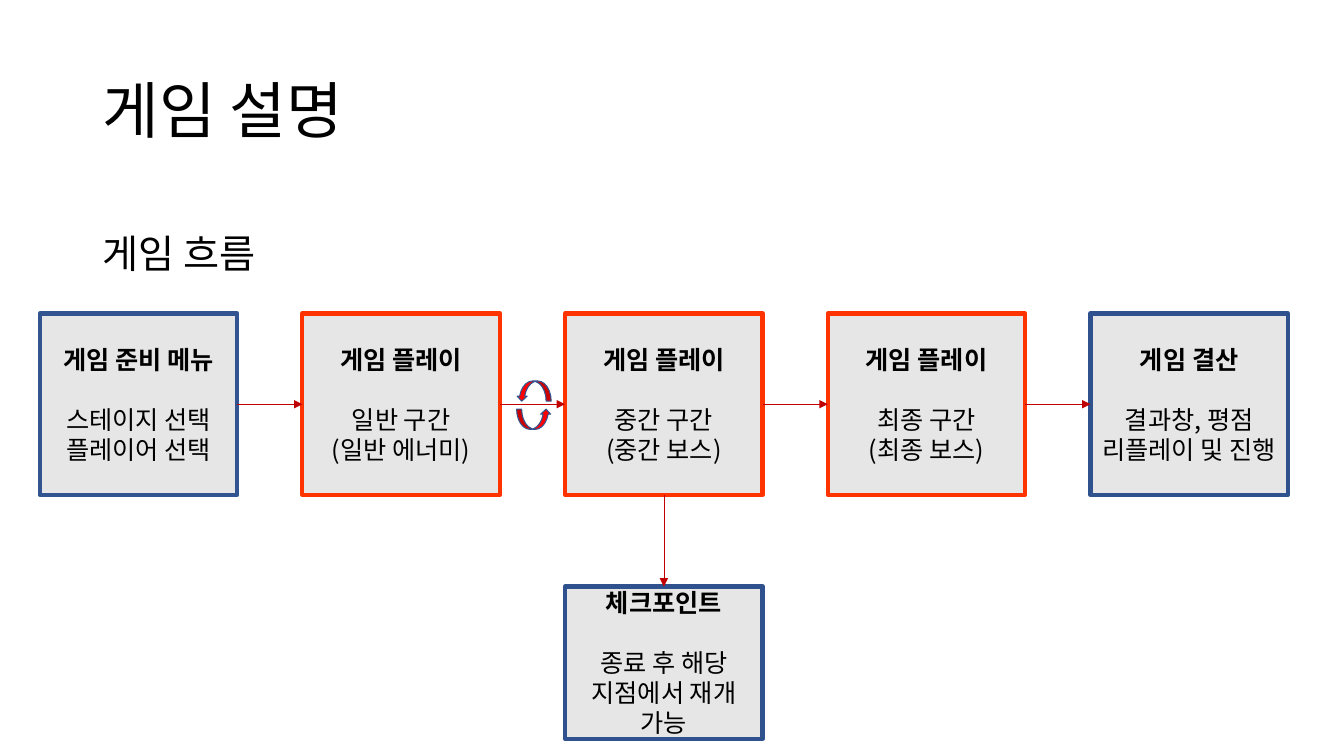
from pptx import Presentation
from pptx.dml.color import RGBColor
from pptx.enum.shapes import MSO_CONNECTOR, MSO_SHAPE
from pptx.enum.text import MSO_ANCHOR, PP_ALIGN
from pptx.oxml.ns import qn
from pptx.util import Cm, Pt
from lxml.etree import SubElement

FONT = "Noto Sans CJK KR"
COLORS = {
    "text": "000000",
    "panel": "E7E6E6",
    "start": "325491",
    "play": "FF3300",
    "finish": "2F528F",
    "arrow": "C00000",
    "loop": "FF0000",
}
STEP_WIDTH, STEP_HEIGHT, STEP_PITCH = 4.98, 4.57, 6.62
STEP_LEFT, STEP_TOP = 1, 7.9
TOP, LEFT, BOTTOM, RIGHT = range(4)
STEPS = [
    ("start", "게임 준비 메뉴", ["스테이지 선택", "플레이어 선택"]),
    ("play", "게임 플레이", ["일반 구간", "(일반 에너미)"]),
    ("play", "게임 플레이", ["중간 구간", "(중간 보스)"]),
    ("play", "게임 플레이", ["최종 구간", "(최종 보스)"]),
    ("finish", "게임 결산", ["결과창, 평점", "리플레이 및 진행"]),
]
CHECKPOINT = ("finish", "체크포인트", ["종료 후 해당 지점에서 재개 가능"])


def color(name):
    return RGBColor.from_string(COLORS[name])


def assign(target, values):
    for name, value in values.items():
        setattr(target, name, value)


def write(para, text, size, bold=False, **layout):
    assign(para, layout)
    span = para.add_run()
    span.text = text
    assign(span.font, {"name": FONT, "size": Pt(size), "bold": bold})
    span.font.color.rgb = color("text")
    SubElement(span.font._element, qn("a:ea"), typeface=FONT)


def paint(shape, fill, line, width):
    shape.shadow.inherit = False
    shape.fill.solid()
    shape.fill.fore_color.rgb = color(fill)
    shape.line.color.rgb = color(line)
    shape.line.width = Pt(width)


def add_headings(page, left, top, width):
    title = page.shapes.title
    assign(title, {"left": Cm(left), "top": Cm(top), "width": Cm(width), "height": Cm(3.68)})
    title.text_frame.vertical_anchor = MSO_ANCHOR.MIDDLE
    write(title.text_frame.paragraphs[0], "게임 설명", 44,
          alignment=PP_ALIGN.LEFT, line_spacing=0.9)
    box = page.shapes.add_textbox(Cm(left), Cm(top + 4.06), Cm(width), Cm(2))
    box.text_frame.word_wrap = True
    write(box.text_frame.paragraphs[0], "게임 흐름", 28,
          line_spacing=1.5, space_before=Pt(10))


def add_step(page, step, left, top, height=STEP_HEIGHT):
    line, heading, details = step
    box = page.shapes.add_shape(MSO_SHAPE.RECTANGLE, Cm(left), Cm(top),
                                Cm(STEP_WIDTH), Cm(height))
    paint(box, "panel", line, 3)
    frame = box.text_frame
    assign(frame, {"word_wrap": True, "vertical_anchor": MSO_ANCHOR.MIDDLE,
                   "margin_left": Cm(0.2), "margin_right": Cm(0.2)})
    layout = {"alignment": PP_ALIGN.CENTER, "line_spacing": Pt(21.5)}
    write(frame.paragraphs[0], heading, 18, bold=True, space_after=Pt(21.5), **layout)
    for detail in details:
        write(frame.add_paragraph(), detail, 18, **layout)
    return box


def add_arrow(page, source, source_site, target, target_site):
    arrow = page.shapes.add_connector(MSO_CONNECTOR.STRAIGHT, 0, 0, 0, 0)
    arrow.begin_connect(source, source_site)
    arrow.end_connect(target, target_site)
    arrow.line.color.rgb = color("arrow")
    arrow.line.width = Pt(0.5)
    SubElement(arrow.line._get_or_add_ln(), qn("a:tailEnd"), type="triangle")
    SubElement(arrow._element.spPr, qn("a:effectLst"))


def add_loop(page, left, top):
    for offset, rotation in ((0, 90), (0.71, 270)):
        arrow = page.shapes.add_shape(MSO_SHAPE.CURVED_RIGHT_ARROW, Cm(left),
                                      Cm(top + offset), Cm(0.51), Cm(0.87))
        arrow.rotation = rotation
        paint(arrow, "loop", "start", 0.75)


def add_flow(page, left, top):
    boxes = [add_step(page, step, left + index * STEP_PITCH, top)
             for index, step in enumerate(STEPS)]
    checkpoint = add_step(page, CHECKPOINT, left + 2 * STEP_PITCH, top + 6.88, 3.84)
    add_loop(page, left + 12.2, top + 1.52)
    for source, target in zip(boxes, boxes[1:]):
        add_arrow(page, source, RIGHT, target, LEFT)
    add_arrow(page, boxes[2], BOTTOM, checkpoint, TOP)


def main():
    deck = Presentation()
    assign(deck, {"slide_width": Cm(33.87), "slide_height": Cm(19.05)})
    page = deck.slides.add_slide(deck.slide_layouts[5])
    add_headings(page, 2.33, 1.01, 29.21)
    add_flow(page, STEP_LEFT, STEP_TOP)
    deck.save("out.pptx")


if __name__ == "__main__":
    main()
